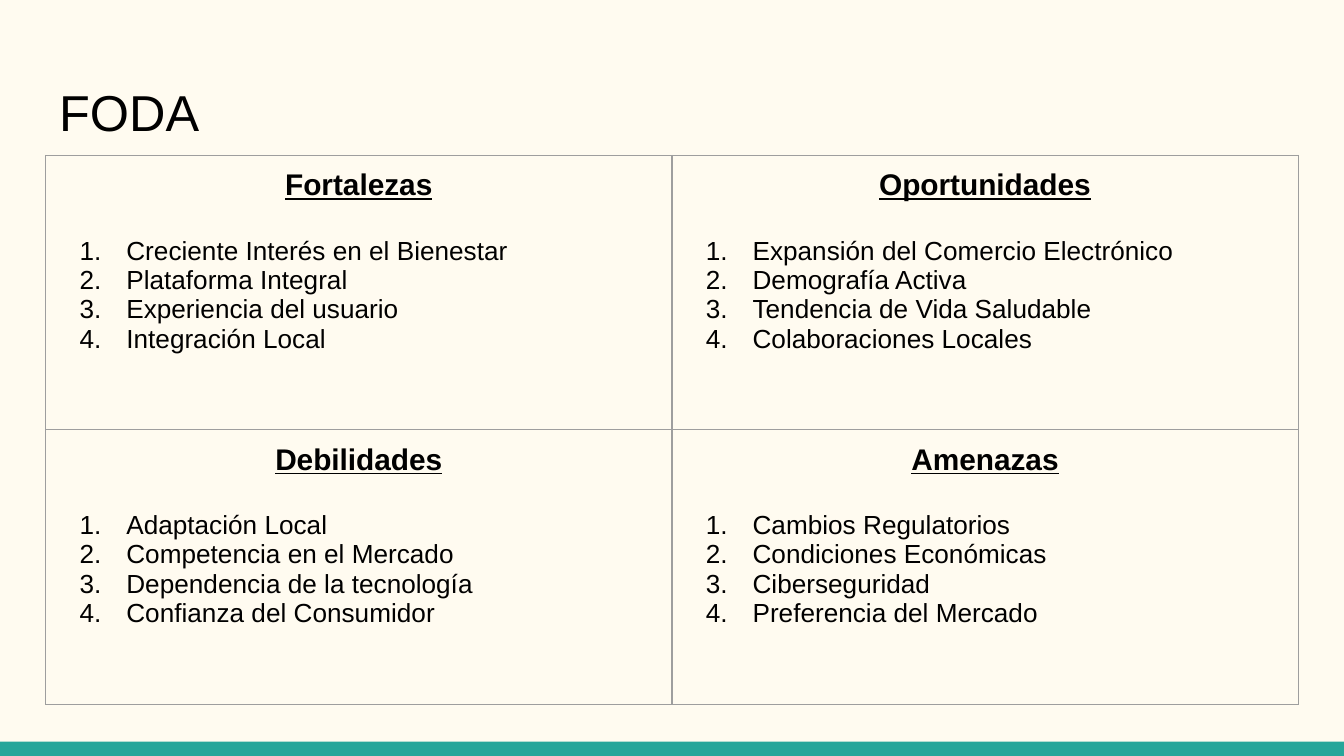
from dataclasses import dataclass

from lxml import etree
from pptx import Presentation
from pptx.dml.color import RGBColor
from pptx.enum.shapes import MSO_SHAPE
from pptx.enum.text import MSO_ANCHOR, PP_ALIGN
from pptx.oxml.ns import qn
from pptx.util import Pt

RECTANGLE = MSO_SHAPE.RECTANGLE
TOP, BOTTOM = MSO_ANCHOR.TOP, MSO_ANCHOR.BOTTOM
LEFT, CENTER = PP_ALIGN.LEFT, PP_ALIGN.CENTER


@dataclass(frozen=True)
class Theme:
    font: str = "Arial"
    background: str = "FFFBF0"
    accent: str = "26A69A"
    text: str = "000000"
    border: str = "9E9E9E"
    title_size: int = 27
    heading_size: int = 16
    item_size: int = 14


theme = Theme()
quadrants = [
    [
        ("Fortalezas", ["Creciente Interés en el Bienestar", "Plataforma Integral",
                        "Experiencia del usuario", "Integración Local"]),
        ("Oportunidades", ["Expansión del Comercio Electrónico", "Demografía Activa",
                           "Tendencia de Vida Saludable", "Colaboraciones Locales"]),
    ],
    [
        ("Debilidades", ["Adaptación Local", "Competencia en el Mercado",
                         "Dependencia de la tecnología", "Confianza del Consumidor"]),
        ("Amenazas", ["Cambios Regulatorios", "Condiciones Económicas",
                      "Ciberseguridad", "Preferencia del Mercado"]),
    ],
]


def format_paragraph(paragraph, size, alignment, emphasis=False):
    paragraph.alignment = alignment
    for run in paragraph.runs:
        run.font.name = theme.font
        run.font.size = Pt(size)
        run.font.bold = emphasis
        run.font.underline = emphasis
        run.font.color.rgb = RGBColor.from_string(theme.text)


def set_borders(cell):
    properties = cell._tc.get_or_add_tcPr()
    for position, side in enumerate(("lnL", "lnR", "lnT", "lnB")):
        line = etree.Element(qn(f"a:{side}"), w=str(Pt(0.75)))
        fill = etree.SubElement(line, qn("a:solidFill"))
        etree.SubElement(fill, qn("a:srgbClr"), val=theme.border)
        properties.insert(position, line)


presentation = Presentation()
presentation.slide_width = Pt(720)
presentation.slide_height = Pt(405)
slide = presentation.slides.add_slide(presentation.slide_layouts[5])
slide.background.fill.solid()
slide.background.fill.fore_color.rgb = RGBColor.from_string(theme.background)

footer_bar = slide.shapes.add_shape(RECTANGLE, Pt(0), Pt(397.3), Pt(720), Pt(7.7))
footer_bar.shadow.inherit = False
footer_bar.fill.solid()
footer_bar.fill.fore_color.rgb = RGBColor.from_string(theme.accent)
footer_bar.line.fill.background()

title = slide.shapes.title
title.left, title.top, title.width, title.height = Pt(24.5), Pt(35.3), Pt(671), Pt(48)
title_frame = title.text_frame
title_frame.text = "FODA"
title_frame.vertical_anchor = BOTTOM
title_frame.margin_left = title_frame.margin_right = Pt(7.2)
title_frame.margin_top = title_frame.margin_bottom = Pt(7.2)
format_paragraph(title_frame.paragraphs[0], theme.title_size, LEFT)

table = slide.shapes.add_table(2, 2, Pt(24.5), Pt(83.3), Pt(671), Pt(294)).table
table.first_row = False
table.horz_banding = False
for column in table.columns:
    column.width = Pt(335.5)

for row, quadrant_row in zip(table.rows, quadrants):
    row.height = Pt(147)
    for cell, (heading, items) in zip(row.cells, quadrant_row):
        cell.margin_left = cell.margin_right = Pt(7.2)
        cell.margin_top = cell.margin_bottom = Pt(7.2)
        cell.vertical_anchor = TOP
        cell.fill.background()
        set_borders(cell)
        cell.text_frame.text = "\n".join([heading, *items])
        heading_paragraph, *item_paragraphs = cell.text_frame.paragraphs
        format_paragraph(heading_paragraph, theme.heading_size, CENTER, emphasis=True)
        heading_paragraph.space_after = Pt(18.4)
        for paragraph in item_paragraphs:
            format_paragraph(paragraph, theme.item_size, LEFT)
            properties = paragraph._p.get_or_add_pPr()
            properties.set("marL", str(Pt(36)))
            properties.set("indent", str(Pt(-25)))
            bullet_color = etree.SubElement(properties, qn("a:buClr"))
            etree.SubElement(bullet_color, qn("a:srgbClr"), val=theme.text)
            etree.SubElement(properties, qn("a:buFont"), typeface=theme.font)
            etree.SubElement(properties, qn("a:buAutoNum"), type="arabicPeriod")

presentation.save("out.pptx")
